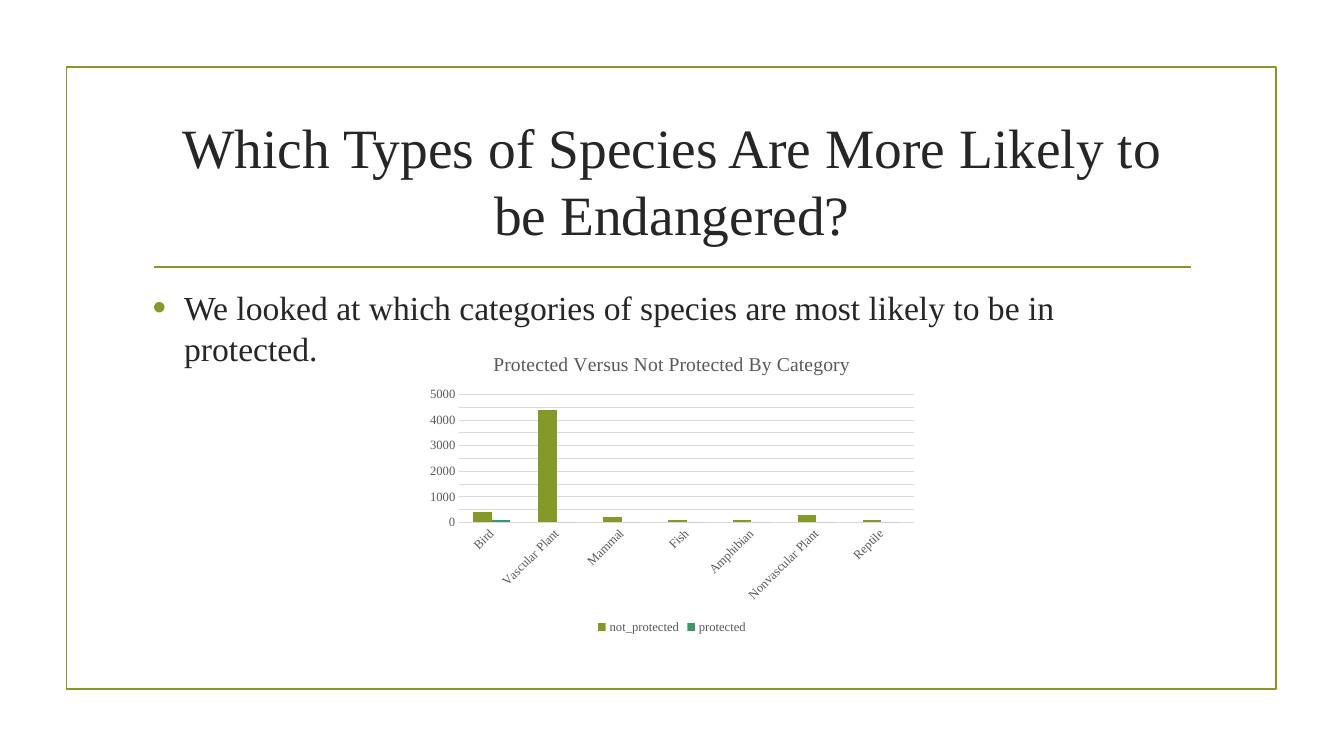
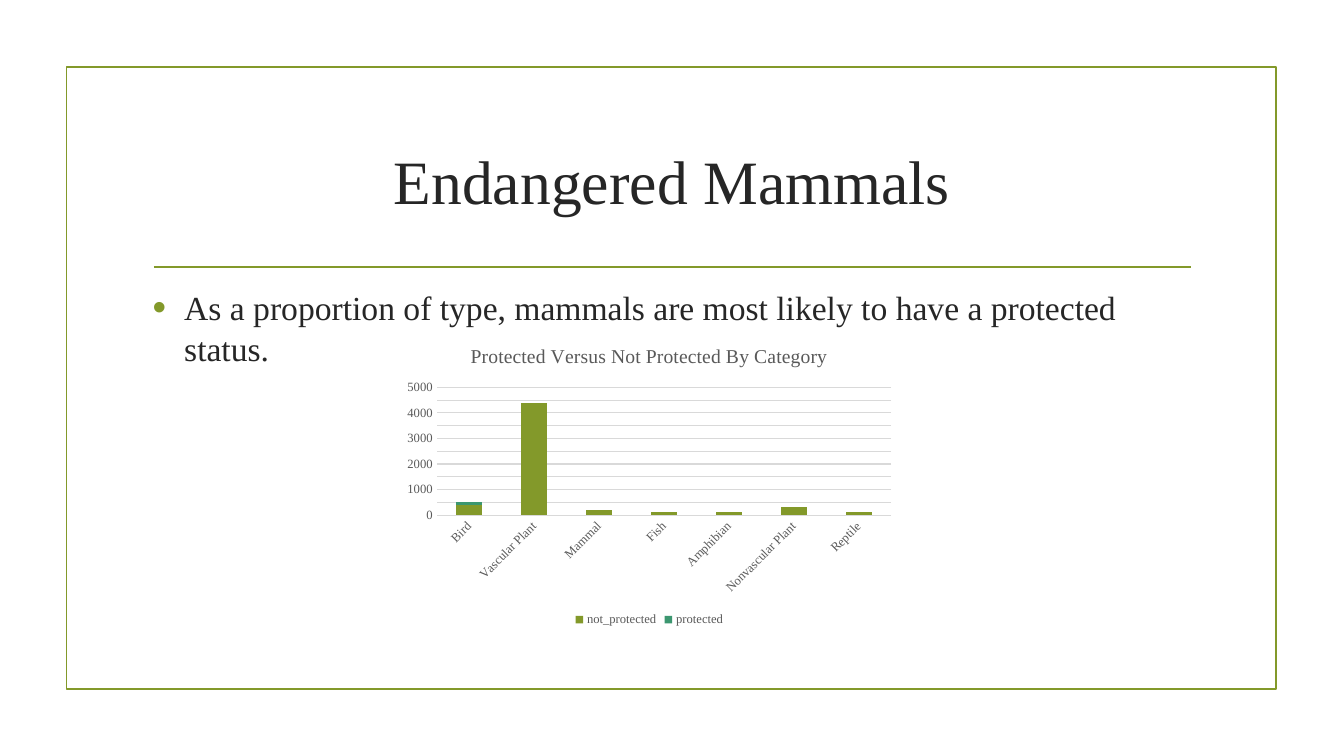
from dataclasses import dataclass

from lxml.etree import SubElement
from pptx import Presentation
from pptx.chart.chart import Chart
from pptx.chart.data import CategoryChartData
from pptx.dml.color import RGBColor
from pptx.enum.chart import XL_CHART_TYPE, XL_LEGEND_POSITION, XL_TICK_MARK
from pptx.enum.shapes import MSO_CONNECTOR, MSO_SHAPE
from pptx.enum.text import MSO_ANCHOR, PP_ALIGN
from pptx.oxml.ns import qn
from pptx.slide import Slide
from pptx.text.text import Font, _Paragraph
from pptx.util import Pt

FONT = "Times New Roman"
GREEN = "83992A"
TEAL = "3C9770"
INK = "262626"
GRAY = "595959"
GRID = "D9D9D9"
CHART_TITLE = "Protected Versus Not Protected By Category"
CATEGORIES = ["Bird", "Vascular Plant", "Mammal", "Fish", "Amphibian",
              "Nonvascular Plant", "Reptile"]


@dataclass(frozen=True)
class Box:
    left: float
    top: float
    width: float
    height: float

    def lengths(self) -> tuple[Pt, Pt, Pt, Pt]:
        return Pt(self.left), Pt(self.top), Pt(self.width), Pt(self.height)


@dataclass(frozen=True)
class Series:
    name: str
    values: tuple[int, ...]
    color: str


@dataclass(frozen=True)
class ChartPage:
    title: str
    title_size: float
    point: str
    kind: XL_CHART_TYPE
    chart_box: Box
    overlap: int


FRAME = Box(47.5, 48, 864, 444)
TITLE = Box(102, 77, 756, 103)
BODY = Box(102, 201.6, 756, 261.4)
RULE_LEFT, RULE_RIGHT, RULE_TOP = 110, 850.5, 190.8

SERIES = [
    Series("not_protected", (400, 4400, 200, 100, 100, 300, 100), GREEN),
    Series("protected", (100, 0, 0, 0, 0, 0, 0), TEAL),
]

PAGES = [
    ChartPage(
        "Which Types of Species Are More Likely to be Endangered?", 39.6,
        "We looked at which categories of species are most likely to be in protected.",
        XL_CHART_TYPE.COLUMN_CLUSTERED, Box(300, 240, 360, 216), 0),
    ChartPage(
        "Endangered Mammals", 44,
        "As a proportion of type, mammals are most likely to have a protected status.",
        XL_CHART_TYPE.COLUMN_STACKED, Box(283.8, 234.8, 360, 216), 100),
]


def color(value: str) -> RGBColor:
    return RGBColor.from_string(value)


def style_font(font: Font, size: float, value: str) -> None:
    font.name = FONT
    font.size = Pt(size)
    font.bold = False
    font.color.rgb = color(value)


def add_frame(page: Slide) -> None:
    frame = page.shapes.add_shape(MSO_SHAPE.RECTANGLE, *FRAME.lengths())
    frame.shadow.inherit = False
    frame.fill.background()
    rule = page.shapes.add_connector(
        MSO_CONNECTOR.STRAIGHT, Pt(RULE_LEFT), Pt(RULE_TOP), Pt(RULE_RIGHT), Pt(RULE_TOP))
    SubElement(rule._element.spPr, qn("a:effectLst"))
    for outline in (frame.line, rule.line):
        outline.color.rgb = color(GREEN)
        outline.width = Pt(1.25)


def add_text(page: Slide, place: Box, text: str, size: float,
             anchor: MSO_ANCHOR, align: PP_ALIGN) -> _Paragraph:
    box = page.shapes.add_textbox(*place.lengths())
    frame = box.text_frame
    frame.word_wrap = True
    frame.vertical_anchor = anchor
    para = frame.paragraphs[0]
    para.alignment = align
    span = para.add_run()
    span.text = text
    style_font(span.font, size, INK)
    return para


def add_bullet(para: _Paragraph) -> None:
    para.space_before = Pt(4.8)
    para.space_after = Pt(6)
    properties = para._p.get_or_add_pPr()
    indent = Pt(22.5)
    properties.set("marL", str(indent))
    properties.set("indent", str(-indent))
    bullet_color = SubElement(properties, qn("a:buClr"))
    SubElement(bullet_color, qn("a:srgbClr"), val=GREEN)
    SubElement(properties, qn("a:buSzPct"), val="115000")
    SubElement(properties, qn("a:buFont"), typeface="Arial")
    SubElement(properties, qn("a:buChar"), char="•")


def style_axes(chart: Chart) -> None:
    for axis in (chart.category_axis, chart.value_axis):
        axis.major_tick_mark = XL_TICK_MARK.NONE
        axis.minor_tick_mark = XL_TICK_MARK.NONE
        axis.format.line.fill.background()
        style_font(axis.tick_labels.font, 9, GRAY)
    labels = chart.category_axis._element.find(qn("c:txPr"))
    labels.find(qn("a:bodyPr")).set("rot", "-2700000")
    values = chart.value_axis
    values.minimum_scale = 0
    values.maximum_scale = 5000
    values.major_unit = 500
    values.has_major_gridlines = True
    grid = values.major_gridlines.format.line
    grid.color.rgb = color(GRID)
    grid.width = Pt(0.75)


def add_species_chart(page: Slide, content: ChartPage) -> None:
    data = CategoryChartData()
    data.categories = CATEGORIES
    for series in SERIES:
        data.add_series(series.name, series.values)
    chart = page.shapes.add_chart(content.kind, *content.chart_box.lengths(), data).chart
    style_font(chart.font, 10, "000000")
    chart.has_title = True
    span = chart.chart_title.text_frame.paragraphs[0].add_run()
    span.text = CHART_TITLE
    style_font(span.font, 14, GRAY)
    chart.has_legend = True
    chart.legend.position = XL_LEGEND_POSITION.BOTTOM
    chart.legend.include_in_layout = False
    style_font(chart.legend.font, 9, GRAY)
    style_axes(chart)
    plot = chart.plots[0]
    plot.vary_by_categories = False
    plot.gap_width = 150
    plot.overlap = content.overlap
    for drawn, series in zip(plot.series, SERIES):
        drawn.format.fill.solid()
        drawn.format.fill.fore_color.rgb = color(series.color)


def main() -> None:
    deck = Presentation()
    deck.slide_width, deck.slide_height = Pt(960), Pt(540)
    for content in PAGES:
        page = deck.slides.add_slide(deck.slide_layouts[6])
        add_frame(page)
        add_text(page, TITLE, content.title, content.title_size,
                 MSO_ANCHOR.MIDDLE, PP_ALIGN.CENTER)
        add_bullet(add_text(page, BODY, content.point, 24, MSO_ANCHOR.TOP, PP_ALIGN.LEFT))
        add_species_chart(page, content)
    deck.save("out.pptx")


if __name__ == "__main__":
    main()
